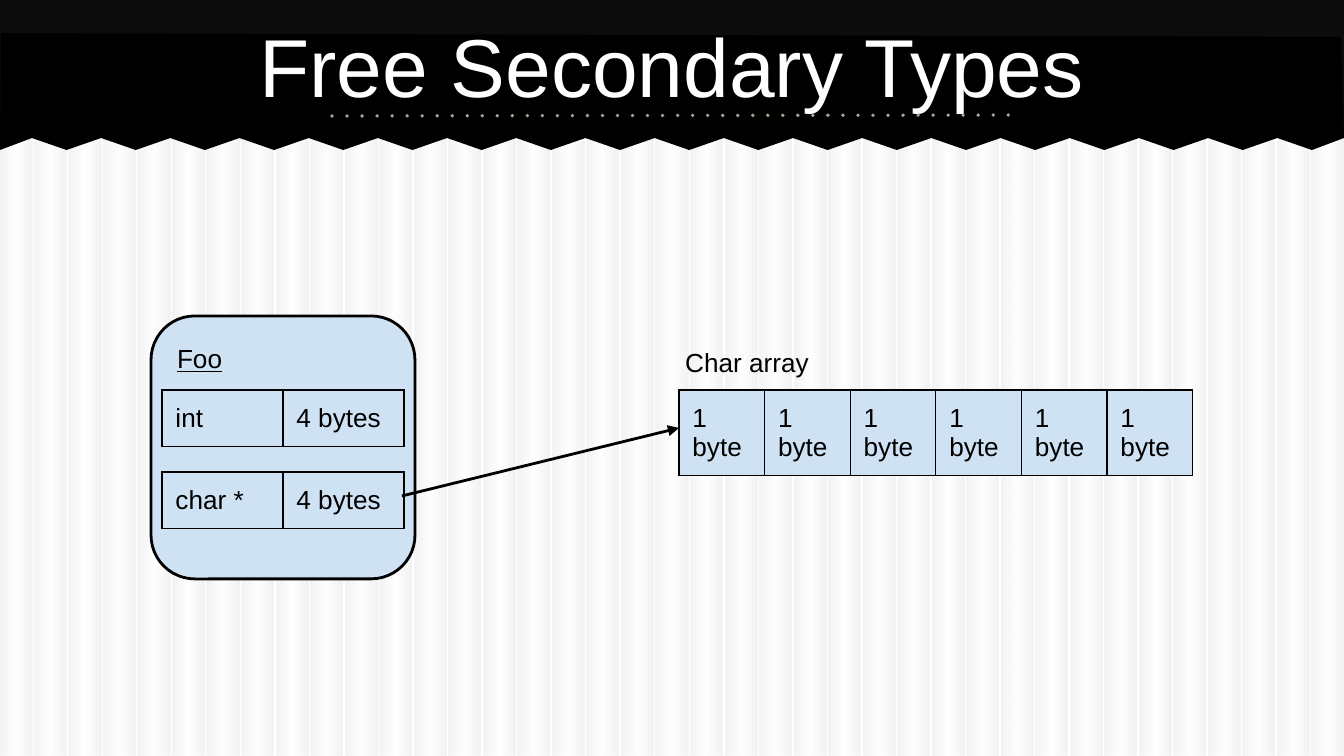
from lxml import etree
from pptx import Presentation
from pptx.dml.color import RGBColor
from pptx.enum.shapes import MSO_CONNECTOR, MSO_SHAPE
from pptx.enum.text import MSO_ANCHOR, PP_ALIGN
from pptx.oxml.ns import qn
from pptx.util import Pt

STRAIGHT = MSO_CONNECTOR.STRAIGHT
RECTANGLE, ROUNDED = MSO_SHAPE.RECTANGLE, MSO_SHAPE.ROUNDED_RECTANGLE
TOP, MIDDLE = MSO_ANCHOR.TOP, MSO_ANCHOR.MIDDLE
LEFT, CENTER = PP_ALIGN.LEFT, PP_ALIGN.CENTER

PX = 914400 / 134.4
WIDTH, HEIGHT = 1344, 756
INSET = Pt(7.2)
COLORS = {
    "stripe edge": "BFBFBF",
    "stripe middle": "FFFFFF",
    "header": "0C0C0C",
    "torn paper": "000000",
    "dots": "94AE8E",
    "title": "FFFFFF",
    "ink": "000000",
    "memory": "CFE2F3",
}
BODY = {"size": Pt(14), "name": "Arial"}
TITLE = {"size": Pt(44), "name": "Arial"}
MARGINS = ("margin_left", "margin_right", "margin_top", "margin_bottom")


def emu(*lengths):
    return [round(length * PX) for length in lengths]


def write(holder, text, font_format=BODY, color="ink", align=LEFT):
    """Put one formatted paragraph into a shape or a table cell."""
    frame = holder.text_frame
    frame.word_wrap = True
    for margin in MARGINS:
        # A cell keeps its own margins, outside its text frame.
        setattr(holder if hasattr(holder, margin) else frame, margin, INSET)
    paragraph = frame.paragraphs[0]
    paragraph.alignment = align
    run = paragraph.add_run()
    run.text = text
    for attribute, value in font_format.items():
        setattr(run.font, attribute, value)
    run.font.color.rgb = RGBColor.from_string(COLORS[color])


prs = Presentation()
prs.slide_width, prs.slide_height = emu(WIDTH, HEIGHT)
slide = prs.slides.add_slide(prs.slide_layouts[5])
shapes = slide.shapes

# Striped background
STRIPES, STRIPE_WIDTH = 39, 32
for index in range(STRIPES):
    left = index * (WIDTH - STRIPE_WIDTH) / (STRIPES - 1)
    stripe = shapes.add_shape(RECTANGLE, *emu(left, 0, STRIPE_WIDTH, HEIGHT))
    stripe.shadow.inherit = False
    stripe.line.fill.background()
    stripe.fill.gradient()
    stripe.fill.gradient_angle = 0
    stops = stripe.element.spPr.find(".//" + qn("a:gsLst"))
    for stop in list(stops):
        stops.remove(stop)
    for position, color in ((0, "stripe edge"), (50, "stripe middle"),
                            (97, "stripe edge"), (100, "stripe edge")):
        stop = etree.SubElement(stops, qn("a:gs"), pos=str(position * 1000))
        tint = etree.SubElement(stop, qn("a:srgbClr"), val=COLORS[color])
        etree.SubElement(tint, qn("a:alpha"), val="19000")

# Header with a torn lower edge
header = shapes.add_shape(RECTANGLE, *emu(0, 0, WIDTH, 137))
TEETH, FIRST_TOOTH, LAST_TOOTH = 38, 32, 1312
pitch = (LAST_TOOTH - FIRST_TOOTH) / (TEETH - 1)
teeth = [(FIRST_TOOTH + pitch * i, 150 if i % 2 else 138) for i in range(TEETH)]
outline = shapes.build_freeform(*emu(1, 33))
corners = [(1341, 37), (WIDTH, 138)] + teeth[::-1] + [(0, 150)]
outline.add_line_segments([emu(x, y) for x, y in corners])
torn_paper = outline.convert_to_shape()
for band, color in ((header, "header"), (torn_paper, "torn paper")):
    band.shadow.inherit = False
    band.fill.solid()
    band.fill.fore_color.rgb = RGBColor.from_string(COLORS[color])
    band.line.fill.background()

# Title, brought in front of the header
title = shapes.title
title.left, title.top, title.width, title.height = emu(67, 2, 1210, 126)
title.text_frame.vertical_anchor = MIDDLE
write(title, "Free Secondary Types", TITLE, "title", CENTER)
title.element.getparent().append(title.element)

# Foo structure
foo = shapes.add_shape(ROUNDED, *emu(151, 316, 264, 263))
foo.shadow.inherit = False
foo.fill.solid()
foo.fill.fore_color.rgb = RGBColor.from_string(COLORS["memory"])
foo.line.color.rgb = RGBColor.from_string(COLORS["ink"])
foo.line.width = Pt(1.5)
foo.text_frame.vertical_anchor = TOP
write(foo, "Foo", {**BODY, "underline": True})

# Fields and array: left, top, width, row height, fill, cell texts
memory_blocks = [
    (162, 390, 242, 50, None, ["int", "4 bytes"]),
    (162, 472, 242, 50, None, ["char *", "4 bytes"]),
    (679, 390, 514, 79, "memory", ["1 byte"] * 6),
]
for left, top, width, row_height, fill, texts in memory_blocks:
    block = shapes.add_table(1, len(texts), *emu(left, top, width, row_height)).table
    block.first_row = block.horz_banding = False
    for column, text in enumerate(texts):
        cell = block.cell(0, column)
        write(cell, text)
        properties = cell._tc.get_or_add_tcPr()
        for side in ("a:lnL", "a:lnR", "a:lnT", "a:lnB"):
            border = etree.SubElement(properties, qn(side), w=str(Pt(0.75)))
            paint = etree.SubElement(border, qn("a:solidFill"))
            etree.SubElement(paint, qn("a:srgbClr"), val=COLORS["ink"])
        if fill:
            cell.fill.solid()
            cell.fill.fore_color.rgb = RGBColor.from_string(COLORS[fill])
        else:
            cell.fill.background()

array_label = shapes.add_textbox(*emu(672, 333, 300, 44))
write(array_label, "Char array")

# Dotted title rule and pointer: ends, colour, width, line detail
rules = [
    ((332, 116, 1010, 115), "dots", 2, ("a:prstDash", {"val": "dot"})),
    ((402, 496, 679, 428), "ink", 1.5, ("a:tailEnd", {"type": "triangle"})),
]
for ends, color, width, (detail, values) in rules:
    rule = shapes.add_connector(STRAIGHT, *emu(*ends))
    rule.line.color.rgb = RGBColor.from_string(COLORS[color])
    rule.line.width = Pt(width)
    line_xml = rule.element.spPr.find(qn("a:ln"))
    etree.SubElement(line_xml, qn(detail), values)
    if detail == "a:prstDash":
        line_xml.set("cap", "rnd")
    etree.SubElement(rule.element.spPr, qn("a:effectLst"))

prs.save("out.pptx")
